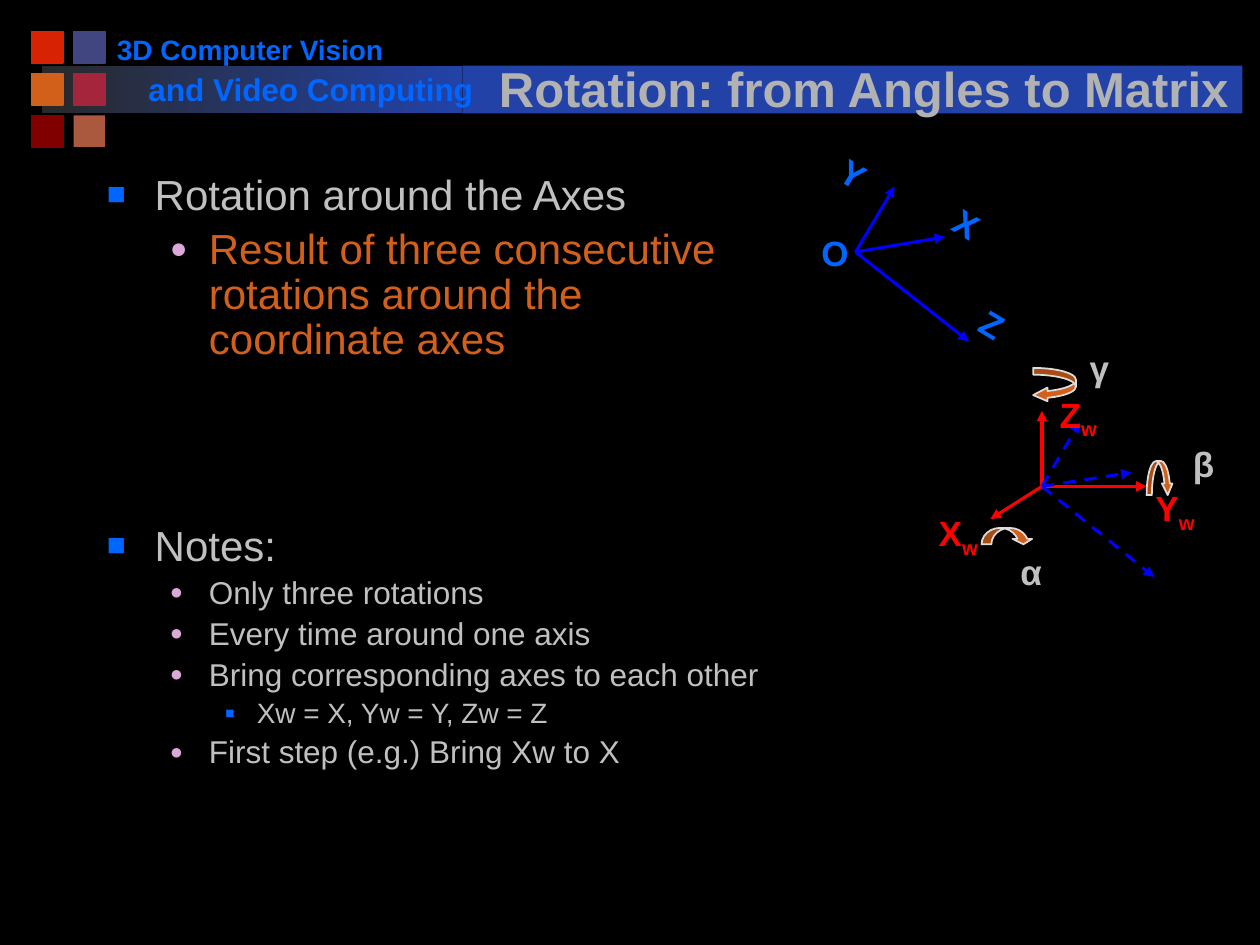
from typing import NamedTuple

from lxml import etree
from pptx import Presentation
from pptx.dml.color import RGBColor
from pptx.enum import dml, shapes, text
from pptx.oxml import parse_xml
from pptx.oxml.ns import nsdecls, qn
from pptx.util import Inches, Pt

FONT = "Arial"
BLACK = RGBColor(0x00, 0x00, 0x00)
CHARCOAL = RGBColor(0x29, 0x29, 0x29)
NAVY = RGBColor(0x22, 0x42, 0xA8)
SKY = RGBColor(0x00, 0x66, 0xFF)
BLUE = RGBColor(0x00, 0x00, 0xFF)
RED = RGBColor(0xFF, 0x00, 0x00)
ORANGE = RGBColor(0xD2, 0x60, 0x1A)
SCARLET = RGBColor(0xD8, 0x22, 0x04)
SLATE = RGBColor(0x42, 0x46, 0x80)
CRIMSON = RGBColor(0xA5, 0x25, 0x3D)
MAROON = RGBColor(0x80, 0x00, 0x00)
CLAY = RGBColor(0xAA, 0x58, 0x3E)
PINK = RGBColor(0xDB, 0xA9, 0xD7)
SILVER = RGBColor(0xC0, 0xC0, 0xC0)
TITLE_GREY = RGBColor(0xB2, 0xB2, 0xB2)
PALE = RGBColor(0xDD, 0xDD, 0xDD)


class Label(NamedTuple):
    words: str
    box: tuple
    color: RGBColor
    sub: str = ""
    rotation: float = 0
    size: float = 20
    inset: bool = False
    wrap: bool = True


class Axis(NamedTuple):
    start: tuple
    end: tuple
    color: RGBColor
    dashed: bool = False


class Turn(NamedTuple):
    kind: shapes.MSO_SHAPE
    box: tuple
    adjustments: tuple


class Level(NamedTuple):
    indent: float
    hanging: float
    bullet: str
    color: RGBColor
    percent: int


class Point(NamedTuple):
    words: str
    level: int
    size: float
    before: float
    color: RGBColor = SILVER


SQUARES = [[SCARLET, SLATE], [ORANGE, CRIMSON], [MAROON, CLAY]]
HEADINGS = [
    Label("3D Computer Vision", (0.83, 0.21, 2.32, 0.37), SKY, size=16, inset=True, wrap=False),
    Label("and Video Computing", (1.08, 0.51, 2.83, 0.4), SKY, size=18, inset=True),
]
LEVELS = [
    Level(0.38, 0.38, "■", SKY, 75),
    Level(0.81, 0.31, "●", PINK, 70),
    Level(1.19, 0.25, "■", SKY, 55),
]
POINTS = [
    Point("Rotation around the Axes", 0, 24, 0),
    Point("Result of three consecutive rotations around the coordinate axes", 1, 24, 5, ORANGE),
    Point("Notes:", 0, 24, 92),
    Point("Only three rotations", 1, 18, 4),
    Point("Every time around one axis", 1, 18, 4),
    Point("Bring corresponding axes to each other", 1, 18, 4),
    Point("Xw = X, Yw = Y, Zw = Z", 2, 16, 3.5),
    Point("First step (e.g.) Bring Xw to X", 1, 18, 4),
]
WORLD = (8.27, 3.86)
CAMERA = (6.79, 2)
AXES = [
    Axis(WORLD, (9.1, 3.86), RED),
    Axis(WORLD, (8.27, 3.26), RED),
    Axis(WORLD, (7.86, 4.12), RED),
    Axis(CAMERA, (7.69, 2.71), BLUE),
    Axis(CAMERA, (7.1, 1.48), BLUE),
    Axis(CAMERA, (7.5, 1.88), BLUE),
    Axis(WORLD, (9.16, 4.58), BLUE, True),
    Axis(WORLD, (8.57, 3.35), BLUE, True),
    Axis(WORLD, (8.98, 3.75), BLUE, True),
]
AXIS_LABELS = [
    Label("Z", (8.41, 3.12, 0.35, 0.33), RED, "w"),
    Label("X", (7.45, 4.06, 0.34, 0.33), RED, "w"),
    Label("Y", (9.17, 3.86, 0.34, 0.33), RED, "w"),
    Label("Y", (6.67, 1.25, 0.34, 0.33), SKY, rotation=31),
    Label("X", (7.57, 1.65, 0.34, 0.33), SKY, rotation=31),
    Label("Z", (7.78, 2.45, 0.34, 0.33), SKY, rotation=31),
    Label("O", (6.42, 1.79, 0.42, 0.44), SKY, inset=True, wrap=False),
    Label("γ", (8.55, 2.7, 0.32, 0.43), SILVER, inset=True, wrap=False),
    Label("β", (9.37, 3.46, 0.36, 0.44), SILVER, inset=True, wrap=False),
    Label("α", (8, 4.32, 0.38, 0.43), SILVER, inset=True, wrap=False),
]
TURNS = [
    Turn(shapes.MSO_SHAPE.CURVED_LEFT_ARROW, (8.2, 2.92, 0.34, 0.27), (0.2, 0.4, 0.42)),
    Turn(shapes.MSO_SHAPE.CURVED_DOWN_ARROW, (7.79, 4.19, 0.41, 0.13), (0.6, 1.2, 0.33)),
    Turn(shapes.MSO_SHAPE.CURVED_DOWN_ARROW, (9.1, 3.66, 0.21, 0.27), (0.2, 0.4, 0.44)),
]


def add_run(p, words: str, *, size: float, color: RGBColor, bold=False, baseline=0):
    r = p.add_run()
    r.text = words
    r.font.name, r.font.size, r.font.bold = FONT, Pt(size), bold
    r.font.color.rgb = color
    if baseline:
        r.font._element.set("baseline", str(baseline * 1000))
    return r


def add_box(s, kind, box: tuple, fill: RGBColor, line: RGBColor | None = None):
    sp = s.shapes.add_shape(kind, *map(Inches, box))
    sp.shadow.inherit = False
    sp.fill.solid()
    sp.fill.fore_color.rgb = fill
    if line is None:
        sp.line.fill.background()
    else:
        sp.line.color.rgb = line
        sp.line.width = Pt(1)
    return sp


def add_label(s, label: Label) -> None:
    sp = s.shapes.add_textbox(*map(Inches, label.box))
    sp.rotation = label.rotation
    tf = sp.text_frame
    tf.word_wrap = label.wrap
    if not label.inset:
        tf.margin_left = tf.margin_top = tf.margin_right = tf.margin_bottom = 0
    p = tf.paragraphs[0]
    add_run(p, label.words, size=label.size, color=label.color, bold=True)
    if label.sub:
        add_run(p, label.sub, size=label.size, color=label.color, bold=True, baseline=-25)


def add_axis(s, axis: Axis) -> None:
    line = s.shapes.add_connector(shapes.MSO_CONNECTOR.STRAIGHT, *map(Inches, axis.start + axis.end))
    line.line.color.rgb = axis.color
    line.line.width = Pt(1.75)
    if axis.dashed:
        line.line.dash_style = dml.MSO_LINE.DASH
    etree.SubElement(line.line._get_or_add_ln(), qn("a:tailEnd"), type="triangle")
    etree.SubElement(line._element.spPr, qn("a:effectLst"))


def add_header(s) -> None:
    """Draw the title bar and the coloured squares, with the title above them."""
    rect = shapes.MSO_SHAPE.RECTANGLE
    fade = add_box(s, rect, (0.33, 0.52, 3.34, 0.38), NAVY)
    fade.fill.gradient()
    fade.fill.gradient_angle = 0
    for stop, color in zip(fade.fill.gradient_stops, (CHARCOAL, NAVY)):
        stop.color.rgb = color
    for row, colors in enumerate(SQUARES):
        for col, color in enumerate(colors):
            box = (0.25 + col / 3, 0.25 + row / 3, 0.25, 0.25)
            add_box(s, rect, box, color, None if color == CLAY else color)
    add_box(s, rect, (3.67, 0.52, 6.19, 0.38), NAVY)
    for heading in HEADINGS:
        add_label(s, heading)

    title = s.shapes.title
    s.shapes._spTree.append(title._element)
    title.left, title.top, title.width, title.height = map(Inches, (3.75, 0.31, 6.21, 0.67))
    tf = title.text_frame
    tf.auto_size = text.MSO_AUTO_SIZE.NONE
    tf.vertical_anchor = text.MSO_ANCHOR.BOTTOM
    p = tf.paragraphs[0]
    p.alignment = text.PP_ALIGN.CENTER
    r = add_run(p, "Rotation: from Angles to Matrix", size=28, color=TITLE_GREY, bold=True)
    shadow = parse_xml(
        f'<a:effectLst {nsdecls("a")}><a:outerShdw dist="35921" dir="2700000">'
        f'<a:srgbClr val="{BLACK}"/></a:outerShdw></a:effectLst>')
    r.font._element.find(qn("a:solidFill")).addnext(shadow)


def add_points(s) -> None:
    tf = s.shapes.add_textbox(*map(Inches, (0.75, 1.33, 5.5, 4.75))).text_frame
    tf.word_wrap = True
    for i, point in enumerate(POINTS):
        p = tf.add_paragraph() if i else tf.paragraphs[0]
        level = LEVELS[point.level]
        p.level = point.level
        pPr = p._p.get_or_add_pPr()
        pPr.set("marL", str(Inches(level.indent)))
        pPr.set("indent", str(-Inches(level.hanging)))
        color = etree.SubElement(pPr, qn("a:buClr"))
        etree.SubElement(color, qn("a:srgbClr"), val=str(level.color))
        etree.SubElement(pPr, qn("a:buSzPct"), val=str(level.percent * 1000))
        etree.SubElement(pPr, qn("a:buFont"), typeface=FONT)
        etree.SubElement(pPr, qn("a:buChar"), char=level.bullet)
        p.line_spacing = 0.9
        p.space_before = Pt(point.before)
        add_run(p, point.words, size=point.size, color=point.color)


def main() -> None:
    prs = Presentation()
    prs.slide_width, prs.slide_height = Inches(10), Inches(7.5)
    s = prs.slides.add_slide(prs.slide_layouts[5])
    s.background.fill.solid()
    s.background.fill.fore_color.rgb = BLACK
    add_header(s)
    add_points(s)
    for axis in AXES:
        add_axis(s, axis)
    for label in AXIS_LABELS:
        add_label(s, label)
    for turn in TURNS:
        sp = add_box(s, turn.kind, turn.box, ORANGE, PALE)
        for i, value in enumerate(turn.adjustments):
            sp.adjustments[i] = value
    prs.save("out.pptx")


if __name__ == "__main__":
    main()
